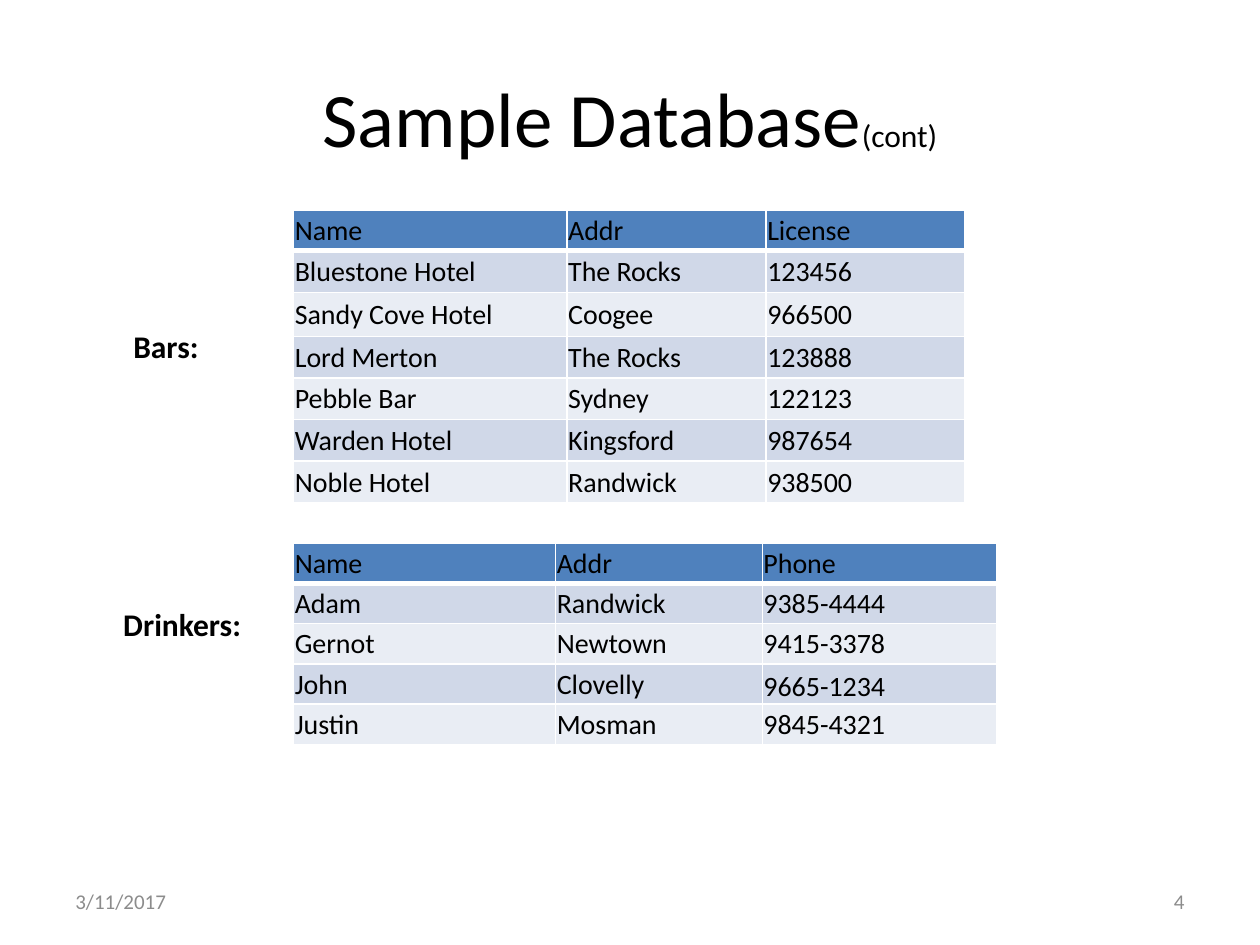
from pptx import Presentation
from pptx import util as u
from pptx.dml.color import RGBColor
from pptx.enum import text
from pptx.oxml import parse_xml
from pptx.oxml.ns import nsdecls

BARS = [
    ("Name", "Addr", "License"),
    ("Bluestone Hotel", "The Rocks", "123456"),
    ("Sandy Cove Hotel", "Coogee", "966500"),
    ("Lord Merton", "The Rocks", "123888"),
    ("Pebble Bar", "Sydney", "122123"),
    ("Warden Hotel", "Kingsford", "987654"),
    ("Noble Hotel", "Randwick", "938500"),
]
DRINKERS = [
    ("Name", "Addr", "Phone"),
    ("Adam", "Randwick", "9385-4444"),
    ("Gernot", "Newtown", "9415-3378"),
    ("John", "Clovelly", "9665-1234"),
    ("Justin", "Mosman", "9845-4321"),
]


def rgb(value):
    return RGBColor.from_string(value)


class Deck:
    """Holds the style and the current slide, and adds elements to it."""

    font, ink, muted = "Calibri", "000000", "8C8C8C"
    header, bands, rule = "4F81BD", ("D0D8E8", "E9EDF4"), "FFFFFF"

    def __init__(self, prs):
        self.s = prs.slides.add_slide(prs.slide_layouts[6])

    def style(self, r, size, color=None, bold=False):
        r.font.name = self.font
        r.font.size = u.Pt(size)
        r.font.bold = bold
        r.font.color.rgb = rgb(color or self.ink)

    def text(self, box, runs, color=None, bold=False,
             align=text.PP_ALIGN.LEFT, anchor=text.MSO_ANCHOR.MIDDLE):
        sp = self.s.shapes.add_textbox(*map(u.Inches, box))
        tf = sp.text_frame
        tf.word_wrap = True
        tf.vertical_anchor = anchor
        p = tf.paragraphs[0]
        p.alignment = align
        for words, size in runs:
            r = p.add_run()
            r.text = words
            self.style(r, size, color, bold)

    def label(self, box, words):
        self.text(box, [(words, 18)], bold=True, anchor=text.MSO_ANCHOR.TOP)

    def footer(self, left, words, align):
        self.text((left, 6.95, 2.33, 0.4), [(words, 12)], self.muted, align=align)

    def borders(self, cell, row):
        widths = {"L": 1, "R": 1, "T": 3 if row == 1 else 1, "B": 1 if row else 3}
        tc_pr = cell._tc.get_or_add_tcPr()
        for side, width in widths.items():
            tc_pr.append(parse_xml(
                f'<a:ln{side} {nsdecls("a")} w="{u.Pt(width)}"><a:solidFill>'
                f'<a:srgbClr val="{self.rule}"/></a:solidFill></a:ln{side}>'))

    def cell(self, cell, row, words):
        cell.margin_left = cell.margin_right = cell.margin_top = u.Inches(0.01)
        cell.margin_bottom = 0
        cell.vertical_anchor = text.MSO_ANCHOR.MIDDLE
        self.borders(cell, row)
        cell.fill.solid()
        cell.fill.fore_color.rgb = rgb(self.bands[(row - 1) % 2] if row else self.header)
        cell.text_frame.text = words
        self.style(cell.text_frame.paragraphs[0].runs[0], 16)

    def table(self, left, top, widths, heights, rows):
        size = map(u.Inches, (left, top, sum(widths), sum(heights)))
        table = self.s.shapes.add_table(len(rows), len(widths), *size).table
        for column, width in zip(table.columns, widths):
            column.width = u.Inches(width)
        for i, (height, row) in enumerate(zip(heights, rows)):
            table.rows[i].height = u.Inches(height)
            for j, words in enumerate(row):
                self.cell(table.cell(i, j), i, words)
        return table


def main():
    prs = Presentation()
    prs.slide_width, prs.slide_height = u.Inches(10), u.Inches(7.5)
    deck = Deck(prs)
    deck.text((0.5, 0.3, 9, 1.25), [("Sample Database", 44), ("(cont)", 18)],
              align=text.PP_ALIGN.CENTER)
    deck.table(2.33, 1.67, (2.17, 1.58, 1.58), [0.32, 0.33, 0.35] + [0.33] * 4, BARS)
    drinkers = deck.table(2.33, 4.31, (2.08, 1.64, 1.86), [0.32] * 5, DRINKERS)
    drinkers.cell(3, 2).vertical_anchor = text.MSO_ANCHOR.BOTTOM
    deck.label((0.96, 2.55, 0.92, 0.4), "Bars:")
    deck.label((0.88, 4.75, 1.17, 0.4), "Drinkers:")
    deck.footer(0.5, "3/11/2017", text.PP_ALIGN.LEFT)
    deck.footer(7.17, "4", text.PP_ALIGN.RIGHT)
    prs.save("out.pptx")


if __name__ == "__main__":
    main()
